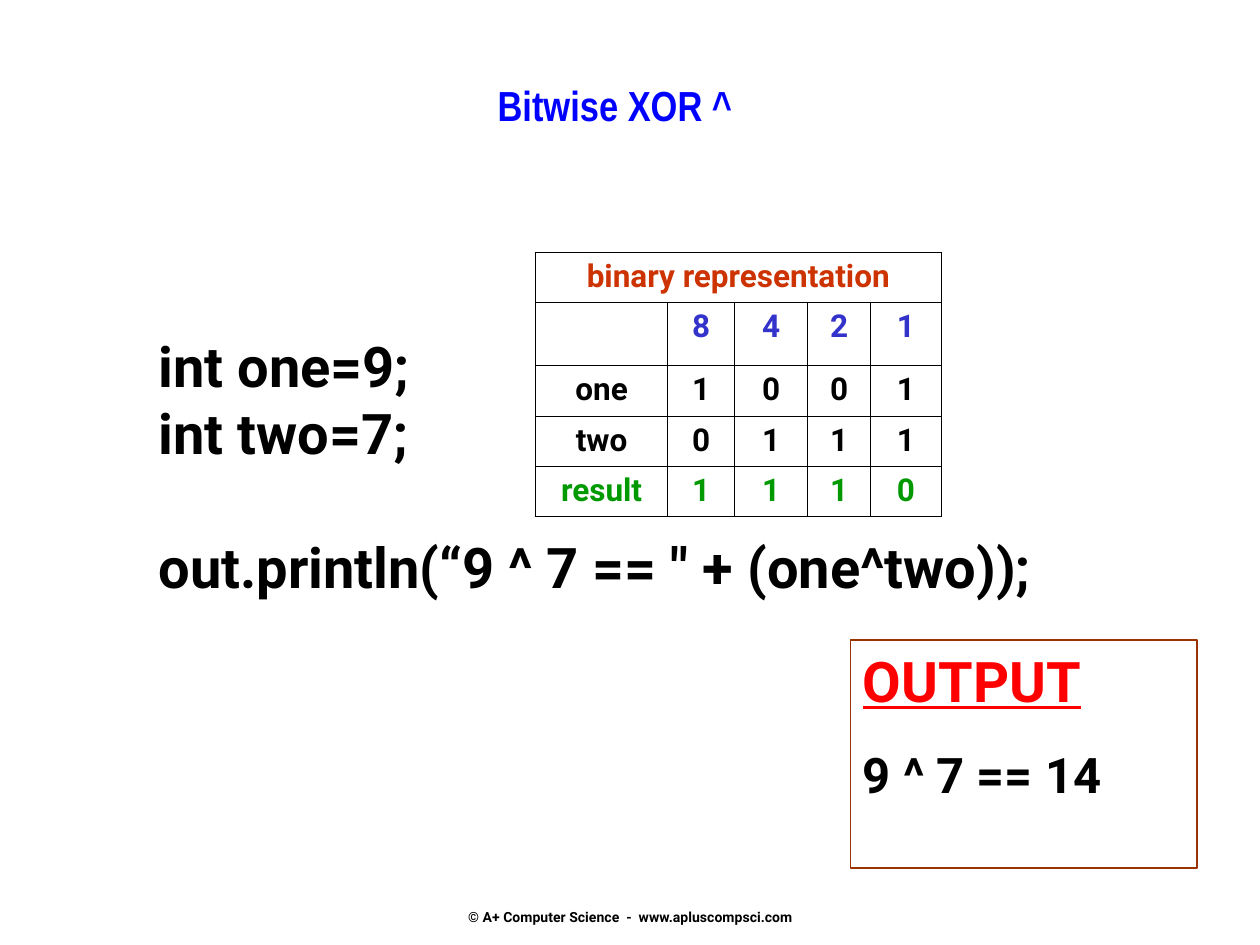
"""Build the slide on the bitwise XOR operator with its truth table and output."""
from dataclasses import dataclass

from lxml import etree
from pptx import Presentation
from pptx.dml.color import RGBColor
from pptx.enum.shapes import MSO_SHAPE
from pptx.enum.text import MSO_ANCHOR, PP_ALIGN
from pptx.oxml.ns import qn
from pptx.util import Inches, Pt

LEFT, CENTER = PP_ALIGN.LEFT, PP_ALIGN.CENTER
TOP = MSO_ANCHOR.TOP
RECTANGLE = MSO_SHAPE.RECTANGLE
BLACK = "000000"
BLUE = "3333CC"
GREEN = "009900"
RUST = "CC3300"


@dataclass
class Line:
    text: str
    size: float
    color: str = BLACK
    font: str = "Roboto"
    align: PP_ALIGN = LEFT
    space_before: float = 0
    underline: bool = False


@dataclass
class TableRow:
    labels: tuple[str, ...]
    color: str
    height: float = 0.4


@dataclass
class Box:
    left: float
    top: float
    width: float
    height: float
    lines: list[Line]
    border: str = ""


BOXES = [
    Box(3.42, 7.16, 3.17, 0.25, [
        Line("© A+ Computer Science  -  www.apluscompsci.com", 8, align=CENTER),
    ]),
    Box(1.16, 2.58, 7.91, 2.77, [
        Line("int one=9;", 32),
        Line("int two=7;", 32),
        Line("out.println(“9 ^ 7 == \" + (one^two));", 32, space_before=38),
    ]),
    Box(6.75, 5.08, 2.75, 1.81, [
        Line("OUTPUT", 32, "FF0000", underline=True),
        Line("9 ^ 7 == 14", 28, space_before=17.5),
    ], border="993300"),
    Box(0.92, 0.58, 7.92, 1, [
        Line("Bitwise XOR ^", 24, "0000FF", "Arial Narrow", CENTER),
    ]),
]

COLUMN_WIDTHS = (1.05, 0.53, 0.58, 0.5, 0.56)
TABLE_ROWS = [
    TableRow(("binary representation",), RUST),
    TableRow(("", "8", "4", "2", "1"), BLUE, 0.5),
    TableRow(("one", "1", "0", "0", "1"), BLACK),
    TableRow(("two", "0", "1", "1", "1"), BLACK),
    TableRow(("result", "1", "1", "1", "0"), GREEN),
]


def rgb(color: str) -> RGBColor:
    """Turn a hex string into a colour."""
    return RGBColor.from_string(color)


def write_line(paragraph, line: Line) -> None:
    """Fill and format one paragraph."""
    paragraph.text = line.text
    paragraph.alignment = line.align
    if line.space_before:
        paragraph.space_before = Pt(line.space_before)
    for run in paragraph.runs:
        run.font.name = line.font
        run.font.size = Pt(line.size)
        run.font.bold = True
        run.font.underline = line.underline
        run.font.color.rgb = rgb(line.color)


def draw_box(slide, box: Box) -> None:
    """Draw a text box, or a rectangle when the box has a border."""
    place = [Inches(n) for n in (box.left, box.top, box.width, box.height)]
    if box.border:
        shape = slide.shapes.add_shape(RECTANGLE, *place)
        shape.shadow.inherit = False
        shape.fill.background()
        shape.line.color.rgb = rgb(box.border)
        shape.line.width = Pt(1)
    else:
        shape = slide.shapes.add_textbox(*place)
    text_frame = shape.text_frame
    text_frame.word_wrap = True
    text_frame.vertical_anchor = TOP
    for index, line in enumerate(box.lines):
        paragraph = text_frame.add_paragraph() if index else text_frame.paragraphs[0]
        write_line(paragraph, line)


def style_cell(cell) -> None:
    """Give a cell thin black borders and no fill."""
    properties = cell._tc.get_or_add_tcPr()
    for side in ("lnL", "lnR", "lnT", "lnB"):
        border = etree.SubElement(properties, qn(f"a:{side}"), w=str(Pt(0.45)))
        fill = etree.SubElement(border, qn("a:solidFill"))
        etree.SubElement(fill, qn("a:srgbClr"), val=BLACK)
    cell.fill.background()


def draw_table(slide, left: float, top: float) -> None:
    """Draw the table of bits under a merged heading."""
    height = sum(row.height for row in TABLE_ROWS)
    table = slide.shapes.add_table(
        len(TABLE_ROWS), len(COLUMN_WIDTHS),
        Inches(left), Inches(top), Inches(sum(COLUMN_WIDTHS)), Inches(height),
    ).table
    table.first_row = table.horz_banding = False
    for column, width in zip(table.columns, COLUMN_WIDTHS):
        column.width = Inches(width)
    for row, content in zip(table.rows, TABLE_ROWS):
        row.height = Inches(content.height)
        for cell in row.cells:
            style_cell(cell)
        for cell, label in zip(row.cells, content.labels):
            line = Line(label, 18, content.color, align=CENTER)
            write_line(cell.text_frame.paragraphs[0], line)
    table.cell(0, 0).merge(table.cell(0, len(COLUMN_WIDTHS) - 1))


def main() -> None:
    """Build and save the presentation."""
    presentation = Presentation()
    presentation.slide_width = Inches(10)
    presentation.slide_height = Inches(7.5)
    slide = presentation.slides.add_slide(presentation.slide_layouts[6])
    for box in BOXES:
        draw_box(slide, box)
    draw_table(slide, 4.25, 2)
    presentation.save("out.pptx")


if __name__ == "__main__":
    main()
